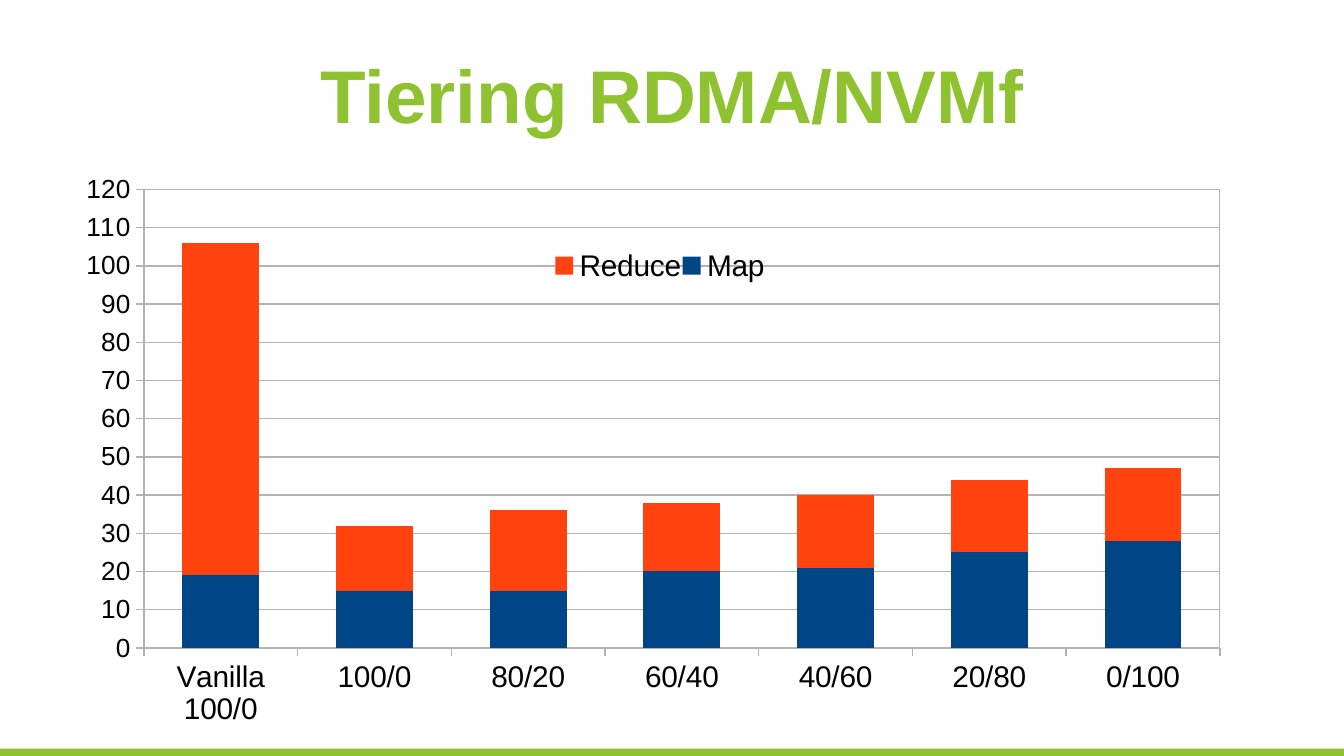
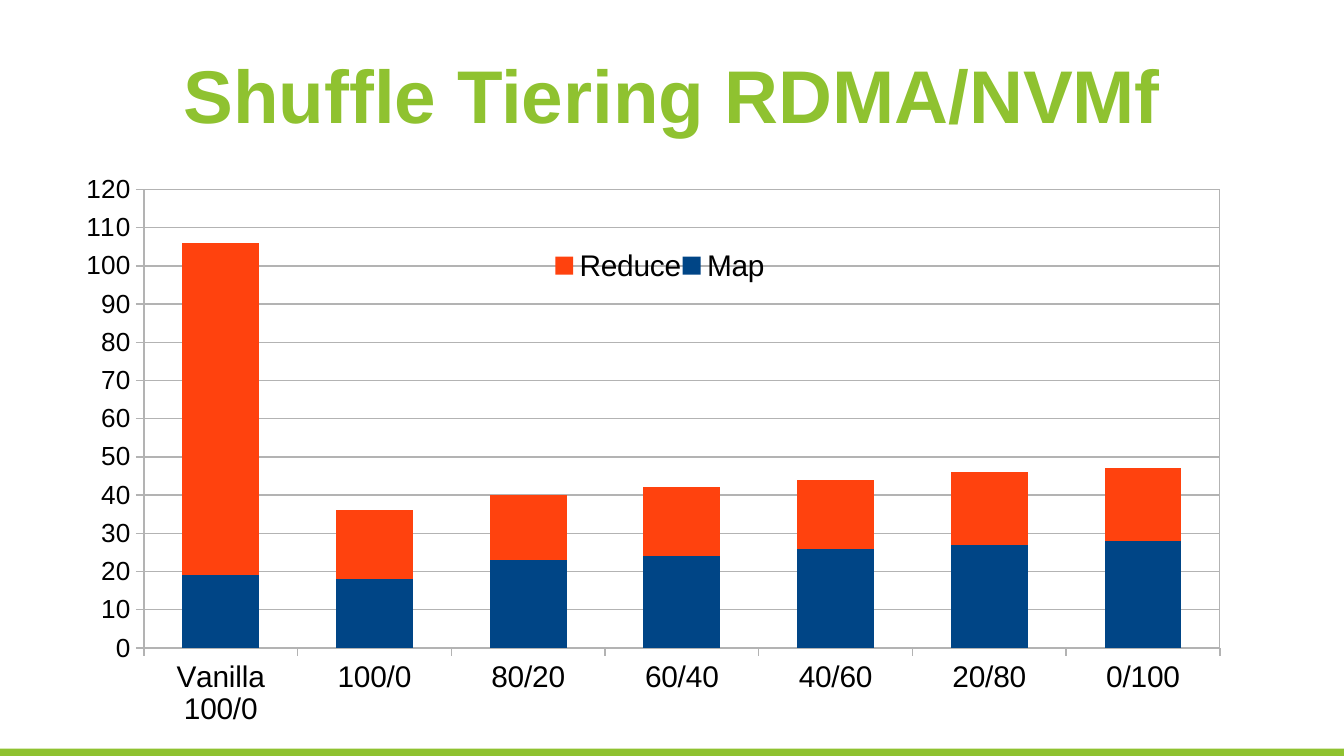
from lxml import etree
from pptx import Presentation
from pptx.chart.data import CategoryChartData as Data
from pptx.dml.color import RGBColor
from pptx.enum.chart import XL_CHART_TYPE as Kind, XL_LEGEND_POSITION as Side
from pptx.enum.chart import XL_TICK_MARK as Tick
from pptx.enum.shapes import MSO_SHAPE as Shape
from pptx.enum.text import MSO_ANCHOR as Anchor, PP_ALIGN as Align
from pptx.oxml import parse_xml
from pptx.oxml.ns import nsdecls, qn
from pptx.util import Inches, Pt

GREEN = RGBColor(0x8F, 0xC2, 0x30)
BLACK = RGBColor(0, 0, 0)
GRAY = RGBColor(0xB3, 0xB3, 0xB3)
BLUE = RGBColor(0x00, 0x45, 0x86)
ORANGE = RGBColor(0xFF, 0x42, 0x0E)
FONT = "Arial"
TITLE_FONT = {"name": FONT, "size": Pt(40), "bold": True}
SPLITS = ["Vanilla 100/0", "100/0", "80/20", "60/40", "40/60", "20/80", "0/100"]
FILLS = {"Map": BLUE, "Reduce": ORANGE}
PLOT = (0.026, 0, 0.907, 1)
KEY = (0.4, 0.08, 0.17, 0.17)
PAGES = [
    ("Tiering RDMA/NVMf", {"Map": [19, 15, 15, 20, 21, 25, 28],
                           "Reduce": [87, 17, 21, 18, 19, 19, 19]}),
    ("Shuffle Tiering RDMA/NVMf", {"Map": [19, 18, 23, 24, 26, 27, 28],
                                   "Reduce": [87, 18, 17, 18, 18, 19, 19]}),
]


def style(item, values):
    """Set each attribute in values on item."""
    for name, value in values.items():
        setattr(item, name, value)


def paint(font, size):
    """Give chart text its font, size and colour."""
    style(font, {"name": FONT, "size": Pt(size), "bold": False})
    font.color.rgb = BLACK


def rule(line):
    """Draw a gray hairline."""
    line.color.rgb = GRAY
    line.width = Pt(0)


def place(box):
    """Return a manual chart layout for fractions x, y, w, h."""
    tags = [f'<c:{tag}Mode val="edge"/>' for tag in "xy"]
    tags += [f'<c:{tag} val="{part}"/>' for tag, part in zip("xywh", box)]
    return parse_xml(f'<c:layout {nsdecls("c")}><c:manualLayout>'
                     f'{"".join(tags)}</c:manualLayout></c:layout>')


def add_band(deck, slide):
    """Put the green foot band on the master."""
    band = slide.shapes.add_shape(Shape.RECTANGLE, 0, Inches(5.57),
                                  deck.slide_width, Inches(0.06))
    band.shadow.inherit = False
    band.fill.solid()
    band.fill.fore_color.rgb = GREEN
    band.line.fill.background()
    band.element.nvSpPr.cNvPr.set("id", "20")
    deck.slide_master.shapes.element.append(band.element)


def add_title(slide, text):
    """Fill and format the title placeholder."""
    title = slide.shapes.title
    style(title, {"left": Inches(0.5), "top": Inches(0.23),
                  "width": Inches(9), "height": Inches(0.94)})
    frame = title.text_frame
    style(frame, {"text": text, "vertical_anchor": Anchor.MIDDLE,
                  "word_wrap": True})
    para = frame.paragraphs[0]
    para.alignment = Align.CENTER
    style(para.font, TITLE_FONT)
    para.font.color.rgb = GREEN


def set_plot(chart):
    """Place and frame the plot area."""
    area = chart.element.find(".//" + qn("c:plotArea"))
    for old in area.findall(qn("c:layout")):
        area.remove(old)
    area.insert(0, place(PLOT))
    props = etree.SubElement(area, qn("c:spPr"))
    etree.SubElement(props, qn("a:noFill"))
    line = etree.SubElement(props, qn("a:ln"), w="0")
    fill = etree.SubElement(line, qn("a:solidFill"))
    etree.SubElement(fill, qn("a:srgbClr"), val=str(GRAY))


def set_axes(chart):
    """Format both axes and the grid."""
    for axis, size in ((chart.category_axis, 16), (chart.value_axis, 14)):
        style(axis, {"major_tick_mark": Tick.OUTSIDE,
                     "minor_tick_mark": Tick.NONE})
        paint(axis.tick_labels.font, size)
        rule(axis.format.line)
    style(axis, {"minimum_scale": 0, "maximum_scale": 120, "major_unit": 10,
                 "has_major_gridlines": True})
    rule(axis.major_gridlines.format.line)


def set_key(chart):
    """Place the legend inside the plot."""
    chart.has_legend = True
    key = chart.legend
    style(key, {"position": Side.RIGHT, "include_in_layout": False})
    paint(key.font, 16)
    key._element.find(qn("c:legendPos")).addnext(place(KEY))


def add_chart(slide, phases):
    """Add the stacked columns of both phases."""
    data = Data()
    data.categories = SPLITS
    for name, times in phases.items():
        data.add_series(name, times)
    chart = slide.shapes.add_chart(Kind.COLUMN_STACKED, Inches(0.4), Inches(1.3),
                                   Inches(9.3), Inches(4.1), data).chart
    chart.has_title = False
    paint(chart.font, 10)
    plot = chart.plots[0]
    style(plot, {"gap_width": 100, "overlap": 100, "vary_by_categories": False})
    for series in plot.series:
        series.format.fill.solid()
        series.format.fill.fore_color.rgb = FILLS[series.name]
    set_axes(chart)
    set_key(chart)
    set_plot(chart)


def main():
    """Build the deck."""
    deck = Presentation()
    style(deck, {"slide_width": Inches(10), "slide_height": Inches(5.625)})
    for text, phases in PAGES:
        slide = deck.slides.add_slide(deck.slide_layouts[5])
        add_title(slide, text)
        add_chart(slide, phases)
    add_band(deck, slide)
    deck.save("out.pptx")


if __name__ == "__main__":
    main()
